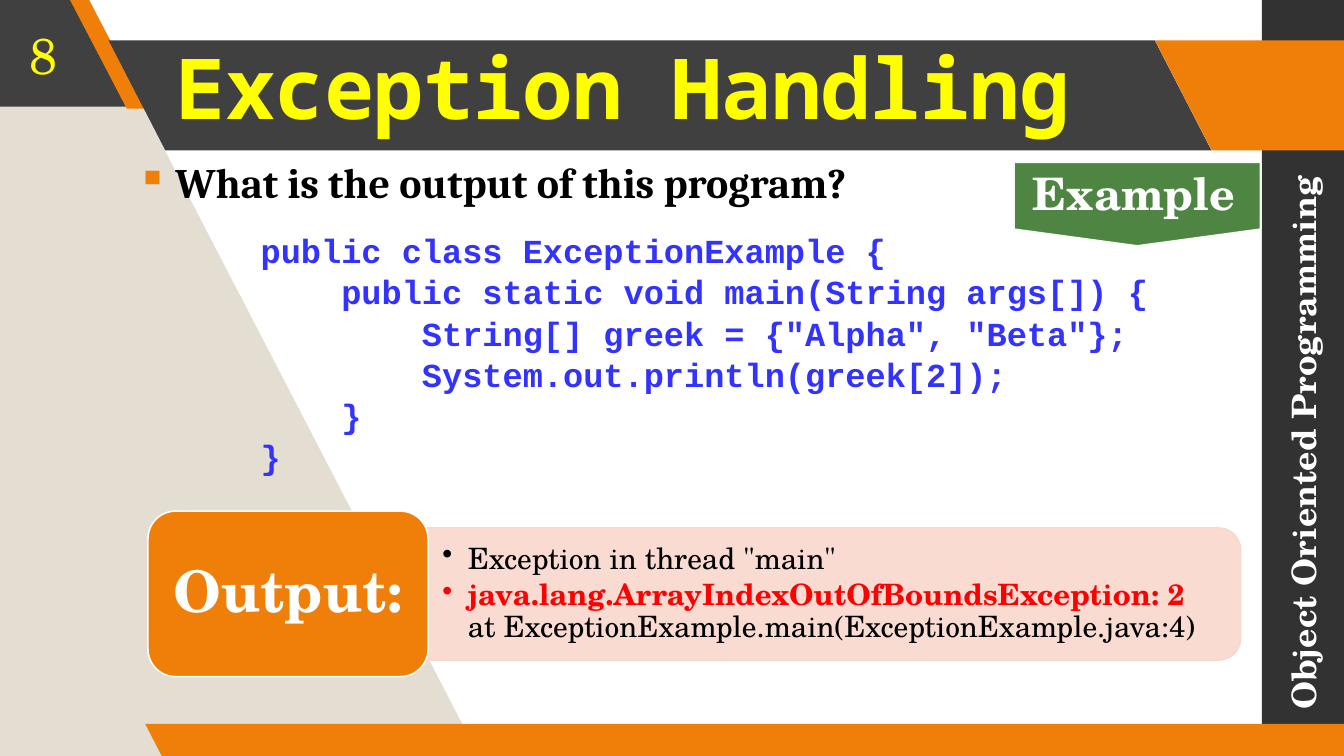
"""Build the exception handling example slide."""
from dataclasses import dataclass, field
from typing import Any, Optional

from lxml.etree import SubElement
from pptx import Presentation
from pptx.dml.color import RGBColor
from pptx.enum.shapes import MSO_SHAPE
from pptx.enum.text import MSO_ANCHOR, MSO_AUTO_SIZE, PP_ALIGN
from pptx.oxml.ns import qn
from pptx.util import Cm, Pt


@dataclass(frozen=True)
class Theme:
    orange: str = "F07F09"
    charcoal: str = "404040"
    sidebar: str = "323232"
    sand: str = "E3DED1"
    blush: str = "F9D8CC"
    green: str = "4E8542"
    off_white: str = "F9F9F9"
    white: str = "FFFFFF"
    black: str = "000000"
    yellow: str = "FFFF00"
    red: str = "FF0000"
    code_blue: str = "3333FF"
    serif: str = "TeX Gyre Schola"
    question_font: str = "Cambria"
    code_font: str = "Courier New"
    title_font: str = "Noto Sans Mono"
    title_size: float = 60
    output_size: float = 41
    number_size: float = 36
    tag_size: float = 32
    question_size: float = 30
    code_size: float = 24
    message_size: float = 21


THEME = Theme()
Box = tuple[float, float, float, float]


@dataclass(frozen=True)
class Block:
    box: Box
    fill: str
    kind: MSO_SHAPE = MSO_SHAPE.PARALLELOGRAM
    slant: Optional[float] = None
    line: Optional[str] = None
    line_width: float = 1.1
    rotation: float = 0
    opacity: int = 100


@dataclass(frozen=True)
class Run:
    text: str
    size: float
    color: str
    font: str = THEME.serif
    bold: bool = True
    tracking: int = 0


@dataclass(frozen=True)
class Line:
    runs: list[Run]
    format: dict[str, Any] = field(default_factory=dict)
    bullet: str = ""
    bullet_color: str = ""
    hang: float = 0


def set_all(target: Any, values: dict[str, Any]) -> None:
    """Set every named attribute on the target."""
    for name, value in values.items():
        setattr(target, name, value)


def draw_block(shapes: Any, block: Block) -> Any:
    """Draw one filled preset shape."""
    shape = shapes.add_shape(block.kind, *map(Cm, block.box))
    shape.shadow.inherit = False
    shape.rotation = block.rotation
    paint(shape, block.fill)
    if block.slant is not None:
        shape.adjustments[0] = block.slant
        shape.element.spPr.find(qn("a:xfrm")).set("flipH", "1")
    if block.line:
        shape.line.color.rgb = RGBColor.from_string(block.line)
        shape.line.width = Pt(block.line_width)
    if block.opacity < 100:
        color = shape.element.spPr.find(qn("a:solidFill"))[0]
        SubElement(color, qn("a:alpha"), val=str(block.opacity * 1000))
    return shape


def paint(shape: Any, color: str) -> None:
    """Fill a shape and clear its outline."""
    shape.fill.solid()
    shape.fill.fore_color.rgb = RGBColor.from_string(color)
    shape.line.fill.background()


def add_bullet(paragraph: Any, line: Line) -> None:
    """Give a paragraph a hanging bullet."""
    properties = paragraph._p.get_or_add_pPr()
    properties.set("marL", str(Cm(line.hang)))
    properties.set("indent", str(-Cm(line.hang)))
    if line.bullet_color:
        color = SubElement(properties, qn("a:buClr"))
        SubElement(color, qn("a:srgbClr"), val=line.bullet_color)
    SubElement(properties, qn("a:buChar"), char=line.bullet)


def write(frame: Any, lines: list[Line], inset: tuple[float, float] = (0.25, 0.13), **values: Any) -> None:
    """Write formatted lines into a text frame."""
    across, down = map(Cm, inset)
    set_all(frame, {"word_wrap": True, "auto_size": MSO_AUTO_SIZE.NONE,
                    "margin_left": across, "margin_right": across,
                    "margin_top": down, "margin_bottom": down} | values)
    for index, line in enumerate(lines):
        paragraph = frame.add_paragraph() if index else frame.paragraphs[0]
        if line.bullet:
            add_bullet(paragraph, line)
        set_all(paragraph, {"alignment": PP_ALIGN.LEFT} | line.format)
        for part in line.runs:
            run = paragraph.add_run()
            run.text = part.text
            set_all(run.font, {"size": Pt(part.size), "name": part.font, "bold": part.bold})
            run.font.color.rgb = RGBColor.from_string(part.color)
            if part.tracking:
                run.font._element.set("spc", str(part.tracking))


def add_text(shapes: Any, box: Box, lines: list[Line], rotation: float = 0, **values: Any) -> None:
    """Add a text box holding the lines."""
    holder = shapes.add_textbox(*map(Cm, box))
    holder.rotation = rotation
    write(holder.text_frame, lines, **values)


SIDEBAR = Block((31.8, 0, 2.07, 19.05), THEME.sidebar, MSO_SHAPE.RECTANGLE)
BANDS = [
    Block((-3.35, -0.08, 6.53, 2.77), THEME.charcoal, slant=0.515),
    Block((1.75, -0.03, 1.93, 2.77), THEME.orange, slant=0.75),
    Block((2.74, 1.02, 27.79, 2.77), THEME.charcoal, slant=0.515),
    Block((29.11, 1.02, 6.53, 2.77), THEME.orange, slant=0.515),
    Block((3.66, 18.24, 30.99, 0.84), THEME.orange, slant=0.515),
]
MESSAGE_PANEL = Block((19.2, 4.57, 3.33, 20.8), THEME.blush, MSO_SHAPE.ROUND_2_SAME_RECTANGLE,
                      line=THEME.blush, rotation=90, opacity=90)
OUTPUT_LABEL = Block((3.73, 12.88, 7.06, 4.17), THEME.orange, MSO_SHAPE.ROUNDED_RECTANGLE, line=THEME.white)
EXAMPLE_TAG = Block((25.55, 4.09, 6.22, 2.11), THEME.green, MSO_SHAPE.FLOWCHART_OFFPAGE_CONNECTOR,
                    line=THEME.off_white, line_width=1.35)
CODE = """public class ExceptionExample {
    public static void main(String args[]) {
        String[] greek = {"Alpha", "Beta"};
        System.out.println(greek[2]);
    }
}"""


def main() -> None:
    """Build and save the slide."""
    deck = Presentation()
    set_all(deck, {"slide_width": Cm(33.87), "slide_height": Cm(19.05)})
    slide = deck.slides.add_slide(deck.slide_layouts[5])
    shapes, title = slide.shapes, slide.shapes.title

    draw_block(shapes, SIDEBAR)
    wedge = shapes.build_freeform(0, 0, scale=1.0)
    wedge.add_line_segments([(Cm(x), Cm(y)) for x, y in [(2.19, 0), (12.07, 19.05), (0, 19.05)]])
    backdrop = wedge.convert_to_shape()
    backdrop.shadow.inherit = False
    paint(backdrop, THEME.sand)
    for band in BANDS:
        draw_block(shapes, band)

    title.element.getparent().append(title.element)
    set_all(title, dict(zip(("left", "top", "width", "height"), map(Cm, (4.09, 1.02, 28.04, 2.77)))))
    heading = Run("Exception Handling", THEME.title_size, THEME.yellow, THEME.title_font, tracking=-50)
    middle = {"vertical_anchor": MSO_ANCHOR.MIDDLE}
    write(title.text_frame, [Line([heading], {"line_spacing": 0.8})], inset=(0.33, 0.33), **middle)

    question = Run("What is the output of this program?", THEME.question_size, THEME.black, THEME.question_font)
    add_text(shapes, (3.2, 3.76, 28.63, 1.6), [
        Line([question], {"alignment": PP_ALIGN.JUSTIFY, "line_spacing": 1.05}, "▪", THEME.orange, 0.97)])
    course = Run("Object Oriented Programming", THEME.code_size, THEME.white)
    add_text(shapes, (25.86, 10.64, 13.97, 1.02), [Line([course])], rotation=270, **middle)
    number = Run("8", THEME.number_size, THEME.yellow, bold=False)
    add_text(shapes, (0, 0, 2.21, 2.72), [Line([number], {"alignment": PP_ALIGN.CENTER})], **middle)
    add_text(shapes, (6.32, 5.87, 23.19, 6.07), [
        Line([Run(text, THEME.code_size, THEME.code_blue, THEME.code_font)],
             {"line_spacing": 0.8, "space_before": Pt(6.3 if index else 0)})
        for index, text in enumerate(CODE.splitlines())])

    draw_block(shapes, MESSAGE_PANEL)
    messages = [
        [Run('Exception in thread "main"', THEME.message_size, THEME.black, bold=False)],
        [Run("java.lang.ArrayIndexOutOfBoundsException: 2 ", THEME.message_size, THEME.red),
         Run("at ExceptionExample.main(ExceptionExample.java:4)", THEME.message_size, THEME.black, bold=False)],
    ]
    add_text(shapes, (10.46, 13.46, 20.62, 3), [
        Line(runs, {"line_spacing": 0.9, "space_after": Pt(3.15)}, "•", hang=0.64) for runs in messages
    ], inset=(0.69, 0.36), **middle)
    output = Run("Output:", THEME.output_size, THEME.white)
    write(draw_block(shapes, OUTPUT_LABEL).text_frame,
          [Line([output], {"alignment": PP_ALIGN.CENTER, "line_spacing": 0.9})], **middle)

    draw_block(shapes, EXAMPLE_TAG)
    add_text(shapes, (25.78, 4.04, 5.79, 1.63), [Line([Run("Example", THEME.tag_size, THEME.white)])])
    deck.save("out.pptx")


if __name__ == "__main__":
    main()
